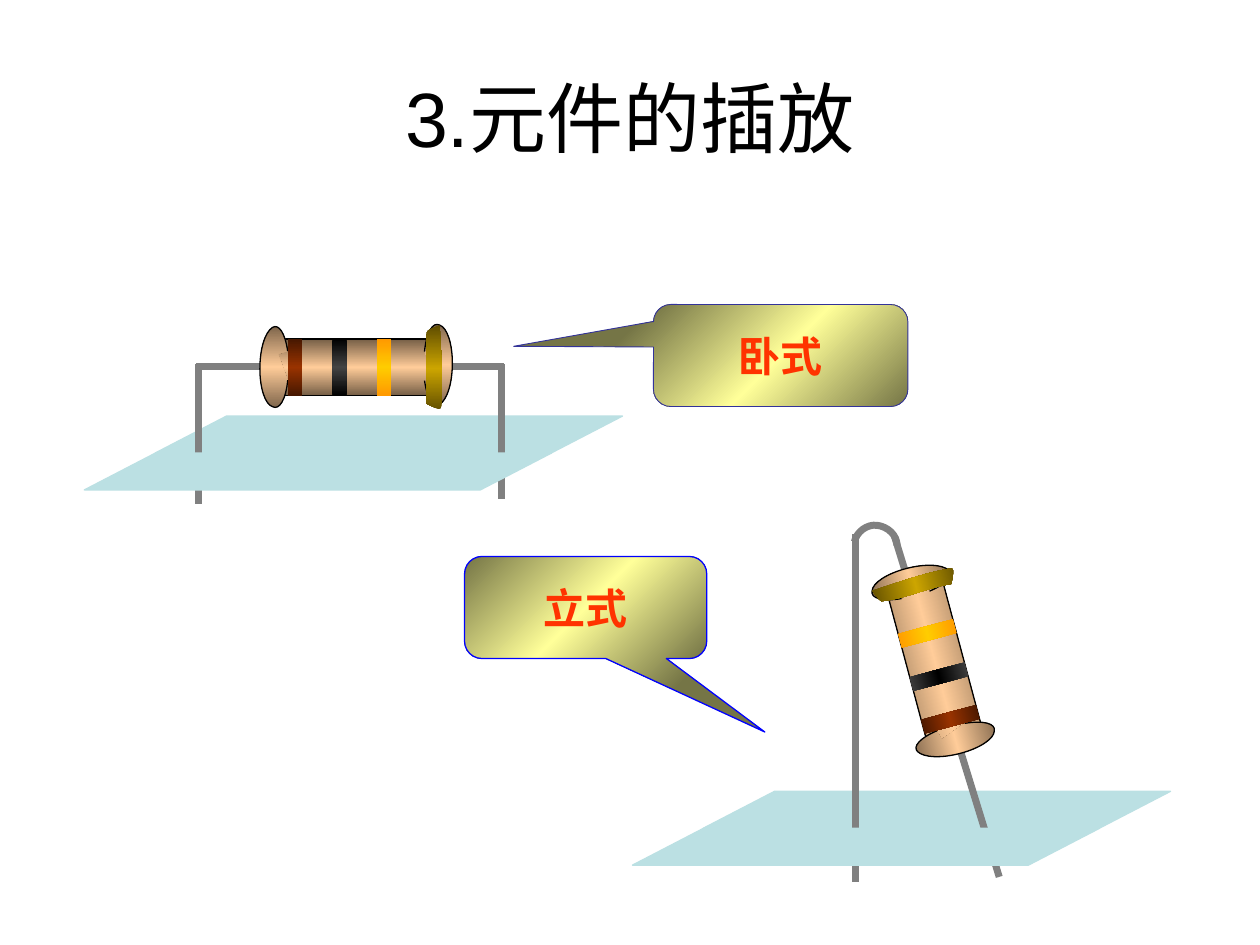
import copy
import math
from dataclasses import dataclass

from lxml import etree
from pptx import Presentation
from pptx.dml.color import RGBColor
from pptx.enum import shapes, text
from pptx.oxml import ns
from pptx.util import Pt


@dataclass(frozen=True)
class Theme:
    font: str = "Arial"
    label_font: str = "Times New Roman"
    title_size: int = 44
    label_size: int = 24
    lead_width: float = 4
    outline_width: float = 0.75
    ink: str = "000000"
    label: str = "FF3300"
    board: str = "BBE0E3"
    lead: str = "808080"
    # Gradients: edge colour, middle colour
    body: tuple = ("755E46", "FFCC99")
    gold: tuple = ("5E4C00", "CCA500")
    brown: tuple = ("461700", "993300")
    yellow: tuple = ("FF9900", "FFCC00")
    black: tuple = ("000000", "434343")
    callout: tuple = ("757546", "FFFF99")


T = Theme()
SHAPE = shapes.MSO_SHAPE

# Curves: a start point, then three points for each Bezier segment
CAP = ((38.5, -9), (39.5, -19.8), (43.2, -26.3), (47.2, -24.1),
       (51.5, -22.7), (54.4, -13.3), (54.4, -2.5),
       (54.4, 9), (51.5, 18.4), (47.2, 21.2),
       (43.6, 23.4), (40, 18), (38.5, 7.6))
CAP_NOTCH = (44, 6.1)
RING = ((47.2, -24.1), (47.9, -8.3), (49.3, 7.6), (47.9, 22.7),
        (47.9, 25.6), (39.2, 20.5), (39.2, 20.5),
        (40.7, 6.8), (37.8, -6.8), (40, -20.5),
        (40, -21.2), (46.4, -24.1), (47.2, -24.1))
BEND = ((126.8, -142.6), (128.2, -148.4), (134, -152.7), (139.7, -152),
        (146.2, -151.2), (151.2, -146.2), (151.2, -140.4))
BEND_CENTRE = (139, -140.4)


def rgb(value):
    return RGBColor.from_string(value)


def paint(sp, fill=None, line=None, width=T.outline_width, angle=90):
    """Fill with one colour or an edge-middle-edge gradient, and set the line."""
    sp.shadow.inherit = False
    if isinstance(fill, tuple):
        sp.fill.gradient()
        stops = sp._element.spPr.find(".//" + ns.qn("a:gsLst"))
        stops.append(copy.deepcopy(stops[0]))
        edge, middle = fill
        for stop, pos, color in zip(sp.fill.gradient_stops, (0, 0.5, 1), (edge, middle, edge)):
            stop.position = pos
            stop.color.rgb = rgb(color)
        sp.fill.gradient_angle = angle
    elif fill:
        sp.fill.solid()
        sp.fill.fore_color.rgb = rgb(fill)
    else:
        sp.fill.background()
    if line:
        sp.line.color.rgb = rgb(line)
        sp.line.width = Pt(width)
    else:
        sp.line.fill.background()


def write(tf, content, font=T.font, size=T.label_size, color=T.ink, bold=False, wrap=True):
    tf.word_wrap = wrap
    tf.vertical_anchor = text.MSO_ANCHOR.MIDDLE
    p = tf.paragraphs[0]
    p.alignment = text.PP_ALIGN.CENTER
    r = p.add_run()
    r.text = content
    r.font.name, r.font.size, r.font.bold = font, Pt(size), bold
    r.font.color.rgb = rgb(color)


def add_preset(s, kind, x, y, w, h):
    return s.shapes.add_shape(kind, Pt(x), Pt(y), Pt(w), Pt(h))


def add_curve(s, points, notch=None):
    """Bezier outline; with a notch, the fill closes there and the line stays open."""
    start, *rest = [(Pt(x), Pt(y)) for x, y in (*points, *([notch] if notch else []))]
    builder = s.shapes.build_freeform(*start)
    builder.add_line_segments(rest, close=True)
    sp = builder.convert_to_shape()
    area = sp._element.spPr.find(".//" + ns.qn("a:path"))
    segments = area.findall(ns.qn("a:lnTo"))[:len(points) - 1]
    for i in range(0, len(segments), 3):
        curve = etree.Element(ns.qn("a:cubicBezTo"))
        segments[i].addprevious(curve)
        for segment in segments[i:i + 3]:
            curve.append(segment[0])
            area.remove(segment)
    if notch:
        stroke = copy.deepcopy(area)
        for child in stroke[-2:]:
            stroke.remove(child)
        area.set("stroke", "0")
        stroke.set("fill", "none")
        area.addnext(stroke)
    return sp


def add_lead(s, x1, y1, x2, y2):
    c = s.shapes.add_connector(shapes.MSO_CONNECTOR.STRAIGHT, Pt(x1), Pt(y1), Pt(x2), Pt(y2))
    c.line.color.rgb = rgb(T.lead)
    c.line.width = Pt(T.lead_width)
    etree.SubElement(c._element.spPr, ns.qn("a:effectLst"))


def add_resistor(s, cx, cy, angle, black):
    """Resistor about its centre, turned clockwise by angle."""
    cos, sin = math.cos(math.radians(angle)), math.sin(math.radians(angle))

    def turn(sp):
        dx = sp.left + sp.width / 2 - Pt(cx)
        dy = sp.top + sp.height / 2 - Pt(cy)
        sp.left = int(Pt(cx) + dx * cos - dy * sin - sp.width / 2)
        sp.top = int(Pt(cy) + dx * sin + dy * cos - sp.height / 2)
        sp.rotation = angle

    def add_block(offset, w, fill, line=None):
        h = 32.4
        sp = add_preset(s, SHAPE.RECTANGLE, cx + offset - w / 2, cy - h / 2, w, h)
        paint(sp, fill, line)
        turn(sp)

    add_block(0, 97.2, T.body, T.ink)

    # End caps: the left one is the right one turned half round
    for side, dx, dy in ((-1, -1.2, -1.6), (1, 0, 0)):
        *curve, notch = [(cx + side * x + dx, cy + side * y + dy) for x, y in (*CAP, CAP_NOTCH)]
        cap = add_curve(s, curve, notch)
        paint(cap, T.body, T.ink)
        turn(cap)

    # Gold ring on the right cap
    ring = add_curve(s, [(cx + x, cy + y) for x, y in RING])
    paint(ring, T.gold)
    turn(ring)

    # Colour bands
    for offset, fill in ((-35.3, T.brown), (15.5, T.yellow), (-10.1, black)):
        add_block(offset, 8.2, fill)


def add_mount(s, box, centre, angle, leads, black=T.black, bent=False):
    """Board with a resistor; leads pass over its back strip, under its front."""
    x, y, w, h = box
    strip_w, strip_h = 267, h / 2

    def add_strip(left, top):
        sp = add_preset(s, SHAPE.PARALLELOGRAM, left, top, strip_w, strip_h)
        sp.adjustments[0] = 1.93
        paint(sp, T.board, T.board)

    add_strip(x + w - strip_w, y)
    for x1, y1, x2, y2 in leads:
        add_lead(s, x + x1, y + y1, x + x2, y + y2)
    if bent:
        *curve, notch = [(x + px, y + py) for px, py in (*BEND, BEND_CENTRE)]
        paint(add_curve(s, curve, notch), None, T.lead, T.lead_width)
    add_resistor(s, x + centre[0], y + centre[1], angle, black)
    add_strip(x, y + strip_h)


def add_callout(s, box, label, tip, line, width):
    sp = add_preset(s, SHAPE.ROUNDED_RECTANGULAR_CALLOUT, *box)
    for i, value in enumerate((*tip, 0.17)):
        sp.adjustments[i] = value
    paint(sp, T.callout, line, width, angle=135)
    write(sp.text_frame, label, font=T.label_font, color=T.label, bold=True, wrap=False)


def add_title(s, box, content):
    sp = s.shapes.title
    sp.left, sp.top, sp.width, sp.height = map(Pt, box)
    write(sp.text_frame, content, size=T.title_size)


def main():
    prs = Presentation()
    prs.slide_width, prs.slide_height = Pt(720), Pt(540)
    s = prs.slides.add_slide(prs.slide_layouts[5])
    add_title(s, (36, 21.6, 648, 90), "3.元件的插放")

    # Lying resistor
    add_mount(s, (48.2, 237.8, 307.5, 42.2), (155.9, -27.9), 0,
              leads=((64.1, -28.3, 239.8, -28.3), (238.6, -29.7, 238.6, 47.3),
                     (65.2, -29.7, 65.2, 50.2)))
    # Standing resistor
    add_mount(s, (361.4, 452.2, 307.5, 42.2), (172.5, -75.3), 255,
              leads=((149.8, -145.5, 209.6, 48.9), (127.5, -146.9, 127.5, 51.8)),
              black=T.black[::-1], bent=True)

    # Labels
    add_callout(s, (373.4, 174, 145.4, 58.3), "卧式", (-1.05, -0.09), "333399", 0.5)
    add_callout(s, (265.5, 318, 138.4, 58.3), "立式", (0.74, 1.22), "0000FF", 0.75)

    prs.save("out.pptx")


if __name__ == "__main__":
    main()
